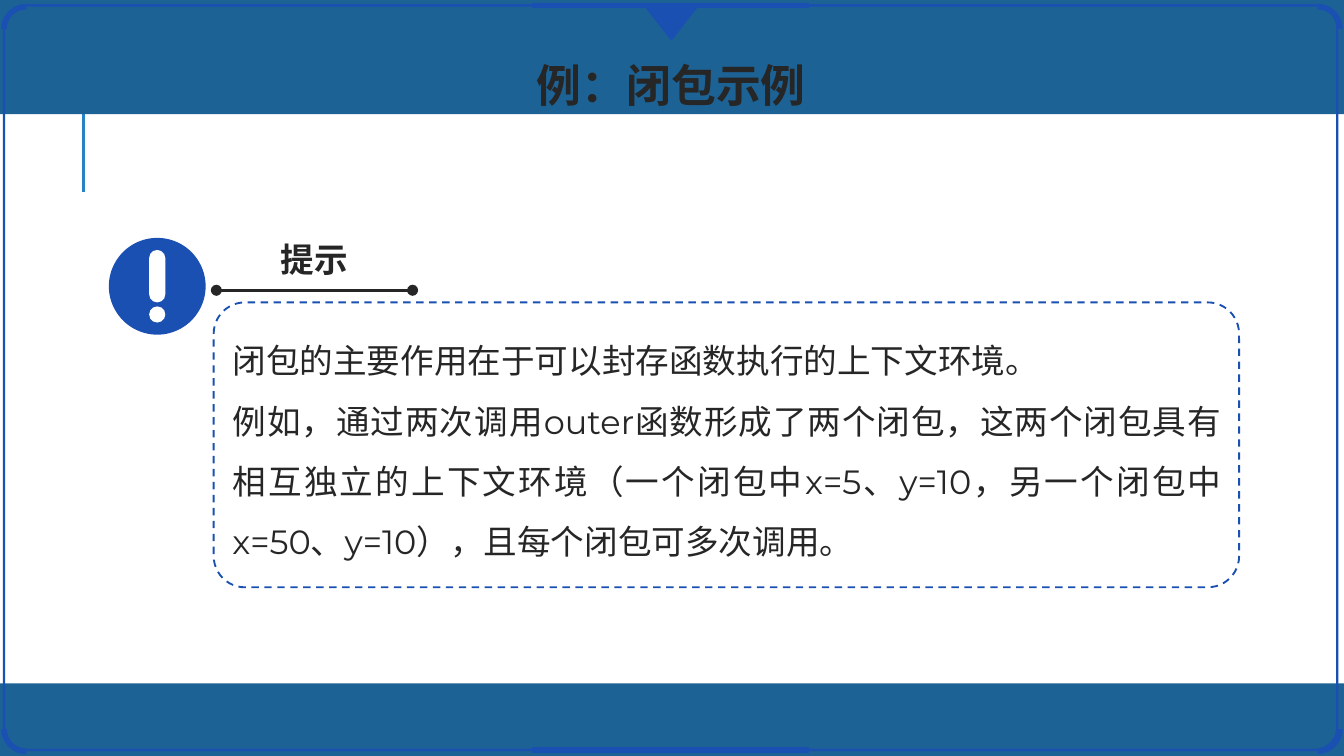
from pptx import Presentation
from pptx.dml.color import RGBColor
from pptx.enum.dml import MSO_LINE_DASH_STYLE as DASH
from pptx.enum.shapes import MSO_CONNECTOR, MSO_SHAPE as SHAPE
from pptx.enum.text import MSO_AUTO_SIZE, PP_ALIGN as ALIGN
from pptx.oxml.ns import qn
from pptx.util import Inches, Pt
from lxml.etree import SubElement

COLORS = {"band": "1D6294", "blue": "1950B2", "rule": "2683C6",
          "ink": "262626", "white": "FFFFFF"}
CJK = "Noto Sans CJK SC"
LATIN = "Montserrat"
WIDTH = 10
HEIGHT = WIDTH * 9 / 16


def color(name):
    """Return a palette colour."""
    return RGBColor.from_string(COLORS[name])


def add_shape(s, kind, box, fill=None, line=None, width=1.25, adj=None, rotation=0):
    """Add a preset shape with the given fill and outline."""
    sp = s.shapes.add_shape(kind, *map(Inches, box))
    sp.shadow.inherit = False
    sp.rotation = rotation
    if adj is not None:
        sp.adjustments[0] = adj
    if fill:
        sp.fill.solid()
        sp.fill.fore_color.rgb = color(fill)
    else:
        sp.fill.background()
    if line:
        sp.line.color.rgb = color(line)
        sp.line.width = Pt(width)
    else:
        sp.line.fill.background()
    return sp


def add_line(s, start, end, name, width, dots=False):
    """Add a straight line, with round ends if dots is set."""
    cx = s.shapes.add_connector(MSO_CONNECTOR.STRAIGHT, *map(Inches, start + end))
    cx.line.color.rgb = color(name)
    cx.line.width = Pt(width)
    if dots:
        for tag in ("a:headEnd", "a:tailEnd"):
            SubElement(cx.line._get_or_add_ln(), qn(tag), type="oval")
    SubElement(cx._element.spPr, qn("a:effectLst"))


def add_text(s, box, paragraphs, insets, wrap, para, font):
    """Add a text box whose paragraphs share one format."""
    tb = s.shapes.add_textbox(*map(Inches, box))
    tf = tb.text_frame
    tf.word_wrap = wrap
    tf.auto_size = MSO_AUTO_SIZE.SHAPE_TO_FIT_TEXT
    tf.margin_left = tf.margin_right = Inches(insets[0])
    tf.margin_top = tf.margin_bottom = Inches(insets[1])
    for i, text in enumerate(paragraphs):
        p = tf.add_paragraph() if i else tf.paragraphs[0]
        for key, value in para.items():
            setattr(p, key, value)
        r = p.add_run()
        r.text = text
        for key, value in font.items():
            setattr(r.font, key, value)
        r.font.color.rgb = color("ink")
        SubElement(r._r.get_or_add_rPr(), qn("a:ea"), typeface=CJK)


def add_bands(s, width, height):
    """Draw the header and footer bands and the short vertical rule."""
    add_line(s, (0.62, 1.43), (0.62, 0.68), "rule", 1.5)
    add_shape(s, SHAPE.RECTANGLE, (0, height - 0.54, width, 0.54), "band")
    add_shape(s, SHAPE.RECTANGLE, (0, -0.03, width, 0.88), "band")


def add_frame(s, x, y, w, h):
    """Draw the rounded border with its corner arcs, accents and pointer."""
    add_shape(s, SHAPE.ROUNDED_RECTANGLE, (x, y, w, h), line="blue", adj=0.03)
    size, mid = 0.33, x + w / 2
    left, right = x, x + w - size + 0.02
    top, bottom = y + 0.01, y + h - size + 0.01
    corners = ((right, top), (right, bottom), (left, bottom), (left, top))
    for i, (cx, cy) in enumerate(corners):
        add_shape(s, SHAPE.ARC, (cx, cy, size, size), line="blue", width=3,
                  rotation=90 * i)
    for edge in (y, y + h):
        add_line(s, (mid - 1.03, edge), (mid + 1.03, edge), "blue", 3)
    add_shape(s, SHAPE.ISOSCELES_TRIANGLE, (mid - 0.19, y, 0.39, 0.25),
              "blue", "blue", rotation=180)


def add_heading(s, box, text, size, name):
    """Add a bold centred heading on one line."""
    add_text(s, box, [text], (0.07, 0.04), False, {"alignment": ALIGN.CENTER},
             {"size": Pt(size), "name": name, "bold": True})


def add_alert_icon(s, x, y, d):
    """Draw a disc with an exclamation mark."""
    add_shape(s, SHAPE.OVAL, (x, y, d, d), "blue")
    add_shape(s, SHAPE.ROUNDED_RECTANGLE, (x + 0.3, y + 0.09, 0.12, 0.39),
              "white", adj=0.5)
    add_shape(s, SHAPE.OVAL, (x + 0.3, y + 0.51, 0.12, 0.12), "white")


def add_tip(s, x, y, w, h, title, paragraphs):
    """Draw the dashed tip panel with its heading, icon and body text."""
    panel = add_shape(s, SHAPE.ROUNDED_RECTANGLE, (x, y, w, h), line="blue",
                      width=1, adj=0.11)
    panel.line.dash_style = DASH.DASH
    add_heading(s, (x + 0.42, y - 0.51, 0.66, 0.38), title, 18, LATIN)
    add_line(s, (x + 0.02, y - 0.09), (x + 1.48, y - 0.09), "ink", 1.5, dots=True)
    add_alert_icon(s, x - 0.78, y - 0.48, 0.72)
    add_text(s, (x + 0.09, y + 0.11, w - 0.17, h - 0.26), paragraphs,
             (0.05, 0.02), True, {"alignment": ALIGN.JUSTIFY, "line_spacing": 1.5},
             {"size": Pt(18), "name": LATIN})


def main():
    """Build and save the slide."""
    prs = Presentation()
    prs.slide_width, prs.slide_height = Inches(WIDTH), Inches(HEIGHT)
    s = prs.slides.add_slide(prs.slide_layouts[6])
    add_bands(s, WIDTH, HEIGHT)
    add_frame(s, 0.03, 0.04, 9.92, 5.54)
    add_heading(s, (3.91, 0.39, 2.17, 0.48), "例：闭包示例", 24, CJK)
    add_tip(s, 1.59, 2.25, 7.63, 2.12, "提示", [
        "闭包的主要作用在于可以封存函数执行的上下文环境。",
        "例如，通过两次调用outer函数形成了两个闭包，这两个闭包具有相互独立的上下文环境"
        "（一个闭包中x=5、y=10，另一个闭包中x=50、y=10），且每个闭包可多次调用。"])
    prs.save("out.pptx")


if __name__ == "__main__":
    main()
